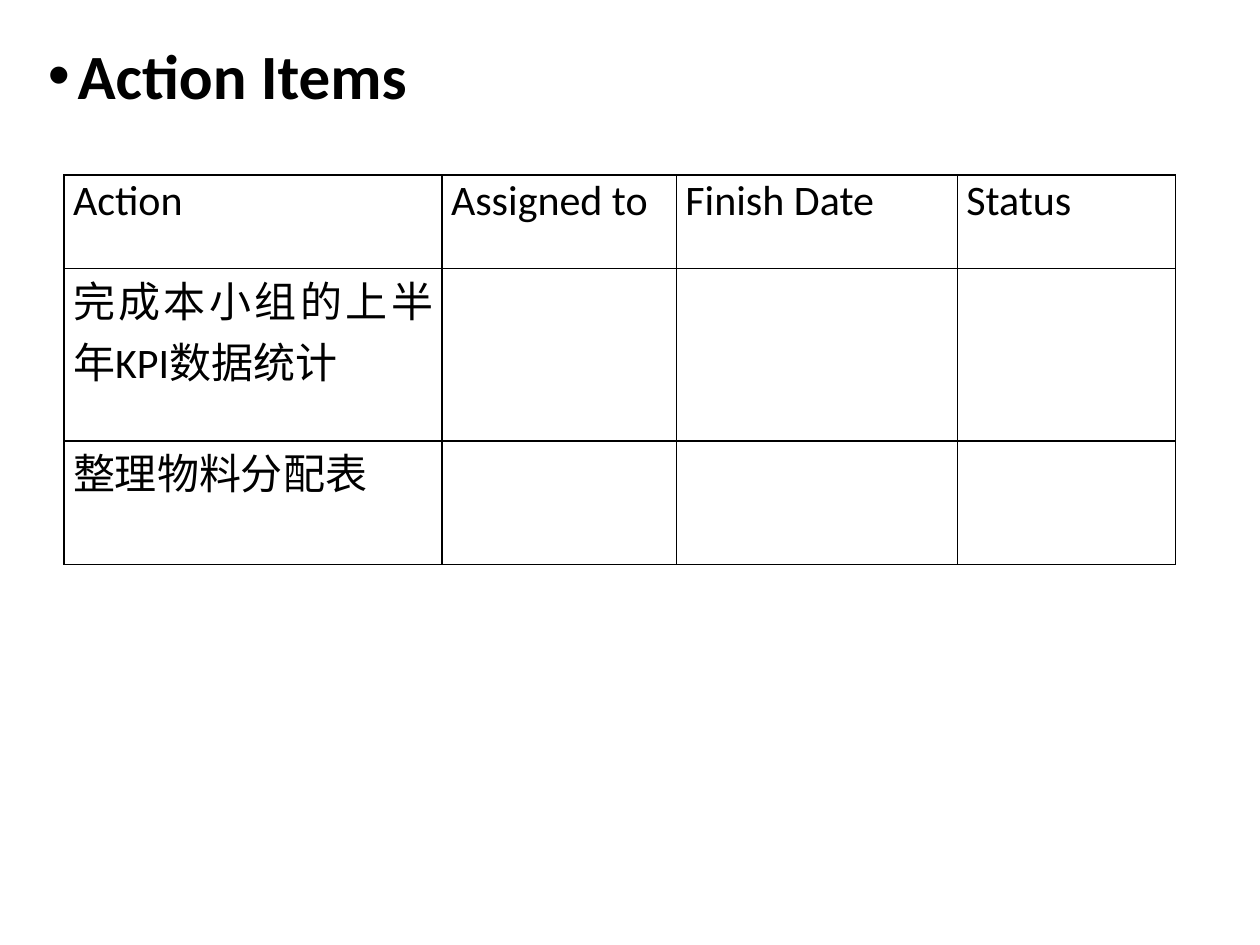
from pptx import Presentation
from pptx.util import Inches, Pt
from pptx.dml.color import RGBColor
from pptx.enum.text import PP_ALIGN, MSO_ANCHOR
from pptx.oxml.ns import qn
from lxml.etree import SubElement

# Content
TITLE = "Action Items"
ROWS = [
    ("Action", "Assigned to", "Finish Date", "Status"),
    ("完成本小组的上半年KPI数据统计", "", "", ""),
    ("整理物料分配表", "", "", ""),
]
COLS = (3, 1.86, 2.23, 1.73)
HIGHS = (0.74, 1.37, 0.98)
THEME = {"font": "Calibri", "ink": "000000", "paper": "FFFFFF",
         "title": 36, "body": 24, "rule": 1}


def write(frame, text, size, bold=False, align=PP_ALIGN.LEFT):
    par = frame.paragraphs[0]
    par.alignment = align
    run = par.add_run()
    run.text = text
    font = run.font
    font.name, font.size, font.bold = THEME["font"], Pt(size), bold
    font.color.rgb = RGBColor.from_string(THEME["ink"])
    return par


def rule(cell):
    props = cell._tc.get_or_add_tcPr()
    for pos, side in enumerate(("lnL", "lnR", "lnT", "lnB")):
        line = SubElement(props, qn("a:" + side), w=str(Pt(THEME["rule"])))
        fill = SubElement(line, qn("a:solidFill"))
        SubElement(fill, qn("a:srgbClr"), val=THEME["ink"])
        props.remove(line)
        props.insert(pos, line)


deck = Presentation()
deck.slide_width, deck.slide_height = Inches(10), Inches(7.5)
slide = deck.slides.add_slide(deck.slide_layouts[5])

# Bulleted title
title = slide.shapes.title
title.left, title.top = Inches(0.28), Inches(0.21)
title.width, title.height = Inches(3.1), Inches(0.76)
frame = title.text_frame
frame.word_wrap = False
frame.vertical_anchor = MSO_ANCHOR.MIDDLE
par = write(frame, TITLE, THEME["title"], bold=True)
props = par._p.get_or_add_pPr()
SubElement(props, qn("a:buFont"), typeface="Arial")
SubElement(props, qn("a:buChar"), char="•")

# Action table
table = slide.shapes.add_table(
    len(ROWS), len(COLS), Inches(0.51), Inches(1.39),
    Inches(sum(COLS)), Inches(sum(HIGHS))).table
table.first_row = table.horz_banding = False
for col, wide in zip(table.columns, COLS):
    col.width = Inches(wide)
for row, high, texts in zip(table.rows, HIGHS, ROWS):
    row.height = Inches(high)
    for cell, text in zip(row.cells, texts):
        cell.margin_left = cell.margin_right = Inches(0.07)
        cell.margin_top = cell.margin_bottom = 0
        cell.fill.solid()
        cell.fill.fore_color.rgb = RGBColor.from_string(THEME["paper"])
        rule(cell)
        if text:
            write(cell.text_frame, text, THEME["body"], align=PP_ALIGN.JUSTIFY)

deck.save("out.pptx")
